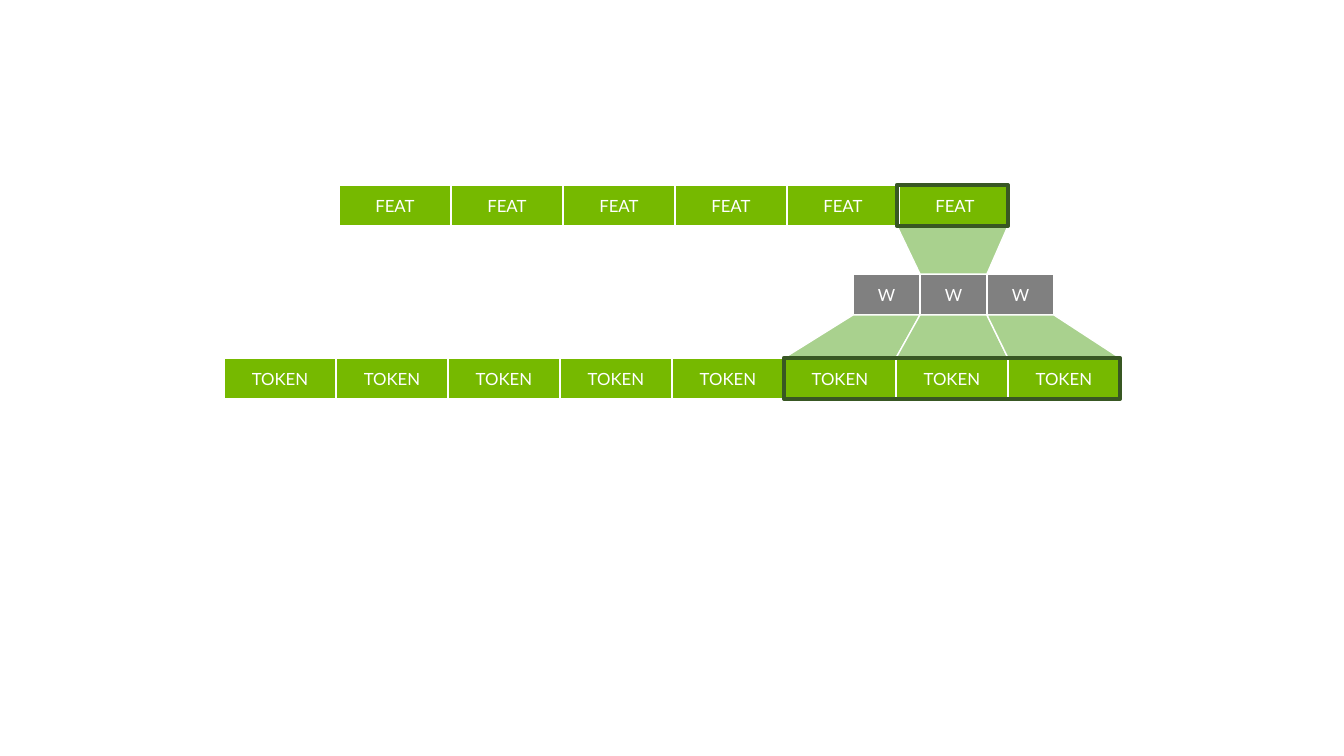
from dataclasses import dataclass
from itertools import pairwise

from lxml.etree import SubElement
from pptx import Presentation
from pptx.dml.color import RGBColor as Color
from pptx.enum.shapes import MSO_SHAPE as Preset
from pptx.enum.text import MSO_ANCHOR as Anchor, PP_ALIGN as Align
from pptx.oxml.ns import qn
from pptx.util import Pt

PX = 12192000 / 1344
PAGE_WIDTH, PAGE_HEIGHT = 1344, 756


@dataclass(frozen=True)
class Theme:
    font: str = "Lato"
    text_size: int = 12
    grid_width: int = 1
    frame_width: int = 3
    white: str = "FFFFFF"
    green: str = "76B900"
    gray: str = "808080"
    beam: str = "A9D18E"
    frame: str = "385723"


@dataclass(frozen=True)
class Strip:
    """A one-row table of equal cells, all with the same label."""
    label: str
    count: int
    left: int
    top: int
    cell_width: int
    fill: str
    height: int = 41

    @property
    def edges(self):
        return [self.left + i * self.cell_width for i in range(self.count + 1)]

    @property
    def bottom(self):
        return self.top + self.height


THEME = Theme()
FEATURES = Strip("FEAT", 6, 339, 185, 112, THEME.green)
WEIGHTS = Strip("W", 3, 853, 274, 67, THEME.gray)
TOKENS = Strip("TOKEN", 8, 224, 358, 112, THEME.green)
WINDOW = WEIGHTS.count
FEATURE_FRAME = (897, FEATURES.top, 111, FEATURES.height)


def emu(*lengths):
    return [round(length * PX) for length in lengths]


def set_values(target, values):
    for name, value in values.items():
        setattr(target, name, value)


def paint(fill, color):
    fill.solid()
    fill.fore_color.rgb = Color.from_string(color)


def outline(shape, color, width):
    paint(shape.line.fill, color)
    shape.line.width = Pt(width)
    shape.shadow.inherit = False


def add_borders(cell):
    """Add grid lines, which must precede the fill in the cell properties."""
    properties = cell._tc.get_or_add_tcPr()
    for index, side in enumerate(("lnL", "lnR", "lnT", "lnB")):
        line = SubElement(properties, qn(f"a:{side}"), w=str(Pt(THEME.grid_width)))
        fill = SubElement(line, qn("a:solidFill"))
        SubElement(fill, qn("a:srgbClr"), val=THEME.white)
        properties.insert(index, line)


def fill_cell(cell, strip):
    paint(cell.fill, strip.fill)
    add_borders(cell)
    cell.vertical_anchor = Anchor.MIDDLE
    para = cell.text_frame.paragraphs[0]
    para.alignment = Align.CENTER
    span = para.add_run()
    span.text = strip.label
    set_values(span.font, {"name": THEME.font, "size": Pt(THEME.text_size)})
    span.font.color.rgb = Color.from_string(THEME.white)


def add_strip(page, strip):
    box = emu(strip.left, strip.top, strip.count * strip.cell_width, strip.height)
    table = page.shapes.add_table(1, strip.count, *box).table
    set_values(table, {"first_row": False, "horz_banding": False})
    for column in table.columns:
        column.width = emu(strip.cell_width)[0]
    for cell in table.iter_cells():
        fill_cell(cell, strip)


def add_beam(page, upper, upper_y, lower, lower_y):
    """Join an upper and a lower (left, right) span with a quadrilateral."""
    builder = page.shapes.build_freeform(upper[0], upper_y, scale=PX)
    builder.add_line_segments(
        [(lower[0], lower_y), (lower[1], lower_y), (upper[1], upper_y)])
    beam = builder.convert_to_shape()
    paint(beam.fill, THEME.beam)
    outline(beam, THEME.white, THEME.grid_width)


def add_frame(page, left, top, width, height):
    frame = page.shapes.add_shape(
        Preset.RECTANGLE, *emu(left, top, width, height))
    frame.fill.background()
    outline(frame, THEME.frame, THEME.frame_width)


def main():
    deck = Presentation()
    width, height = emu(PAGE_WIDTH, PAGE_HEIGHT)
    set_values(deck, {"slide_width": width, "slide_height": height})
    page = deck.slides.add_slide(deck.slide_layouts[6])

    add_strip(page, TOKENS)
    add_strip(page, WEIGHTS)
    weight_spans = list(pairwise(WEIGHTS.edges))
    token_spans = list(pairwise(TOKENS.edges))[-WINDOW:]
    for weight, token in zip(weight_spans, token_spans):
        add_beam(page, weight, WEIGHTS.bottom, token, TOKENS.top)

    left, _, width, _ = FEATURE_FRAME
    add_beam(page, (left, left + width), FEATURES.bottom,
             weight_spans[WINDOW // 2], WEIGHTS.top)
    add_strip(page, FEATURES)

    add_frame(page, token_spans[0][0], TOKENS.top,
              WINDOW * TOKENS.cell_width, TOKENS.height)
    add_frame(page, *FEATURE_FRAME)
    deck.save("out.pptx")


if __name__ == "__main__":
    main()
